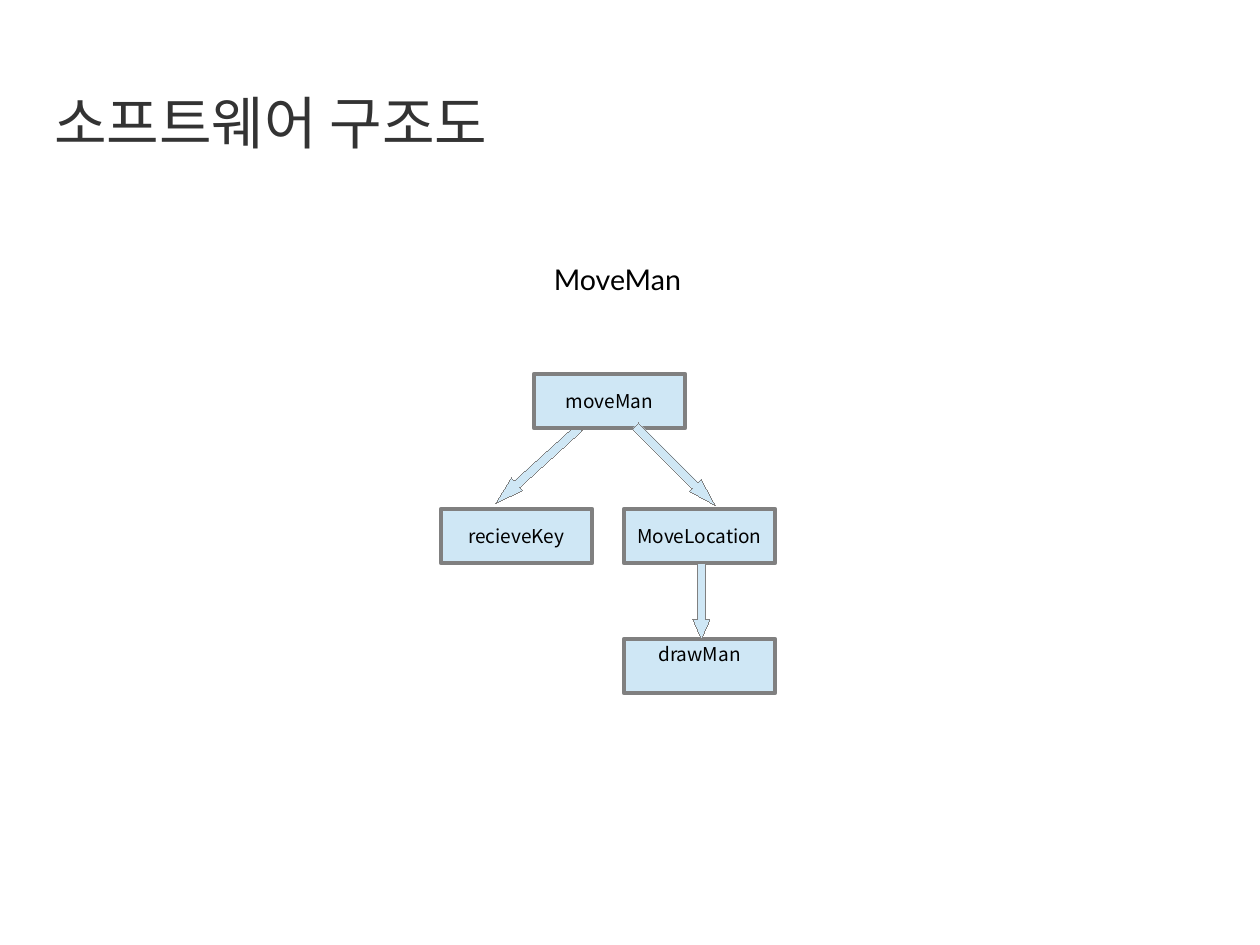
from pptx import Presentation
from pptx.dml.color import RGBColor
from pptx.enum.shapes import MSO_SHAPE
from pptx.enum.text import MSO_ANCHOR, MSO_AUTO_SIZE, PP_ALIGN
from pptx.util import Pt

SCALE = 8000  # EMU in one px
BOX_W, BOX_H = 151, 54
ARROW_W = 17
HAIR = 0.01
PALE, GREY, DARK, BLACK = "CFE7F5", "808080", "333333", "000000"


def px(*sizes):
    return [size * SCALE for size in sizes]


def color(code):
    return RGBColor.from_string(code)


def write(shape, text, size, font, code, align, anchor, inset=0):
    frame = shape.text_frame
    frame.word_wrap = True
    frame.auto_size = MSO_AUTO_SIZE.NONE
    frame.vertical_anchor = anchor
    frame.margin_left = frame.margin_right = inset * SCALE
    frame.margin_top = frame.margin_bottom = inset * SCALE
    para = frame.paragraphs[0]
    para.alignment = align
    run = para.add_run()
    run.text = text
    run.font.size = Pt(size)
    run.font.name = font
    run.font.color.rgb = color(code)


def add_block(slide, kind, area, line):
    """Add a pale preset shape with a grey outline."""
    shape = slide.shapes.add_shape(kind, *px(*area))
    shape.shadow.inherit = False
    shape.fill.solid()
    shape.fill.fore_color.rgb = color(PALE)
    shape.line.color.rgb = color(GREY)
    shape.line.width = Pt(line)
    return shape


def add_box(slide, left, top, text, anchor=MSO_ANCHOR.MIDDLE, inset=2):
    area = (left, top, BOX_W, BOX_H)
    box = add_block(slide, MSO_SHAPE.RECTANGLE, area, 2.86)
    write(box, text, 12, "Noto Sans CJK KR", BLACK, PP_ALIGN.CENTER,
          anchor, inset)


def add_arrow(slide, left, top, height, head, turn=0):
    area = (left, top, ARROW_W, height)
    arrow = add_block(slide, MSO_SHAPE.DOWN_ARROW, area, HAIR)
    arrow.adjustments[0] = 0.5
    arrow.adjustments[1] = head
    arrow.rotation = turn


def add_title(slide, text):
    title = slide.shapes.title
    title.left, title.top, title.width, title.height = px(54, 81, 882, 81)
    write(title, text, 36, "Arial", DARK, PP_ALIGN.LEFT, MSO_ANCHOR.MIDDLE)


def add_head(slide, text):
    head = slide.shapes.add_textbox(*px(63, 262, 1109, 549))
    write(head, text, 18, "Lato", BLACK, PP_ALIGN.CENTER, MSO_ANCHOR.TOP)


def main():
    deck = Presentation()
    deck.slide_width, deck.slide_height = px(1260, 945)
    slide = deck.slides.add_slide(deck.slide_layouts[5])

    add_title(slide, "소프트웨어 구조도")
    add_head(slide, "MoveMan")

    add_arrow(slide, 529, 409, 113, 1.69, 47.8)
    add_box(slide, 534, 374, "moveMan")
    add_box(slide, 441, 509, "recieveKey")
    add_box(slide, 624, 509, "MoveLocation")
    add_arrow(slide, 667, 409, 113, 1.69, 315)
    add_box(slide, 624, 639, "drawMan", MSO_ANCHOR.TOP, 4)
    add_arrow(slide, 693, 564, 75, 1.14)

    deck.save("out.pptx")


if __name__ == "__main__":
    main()
